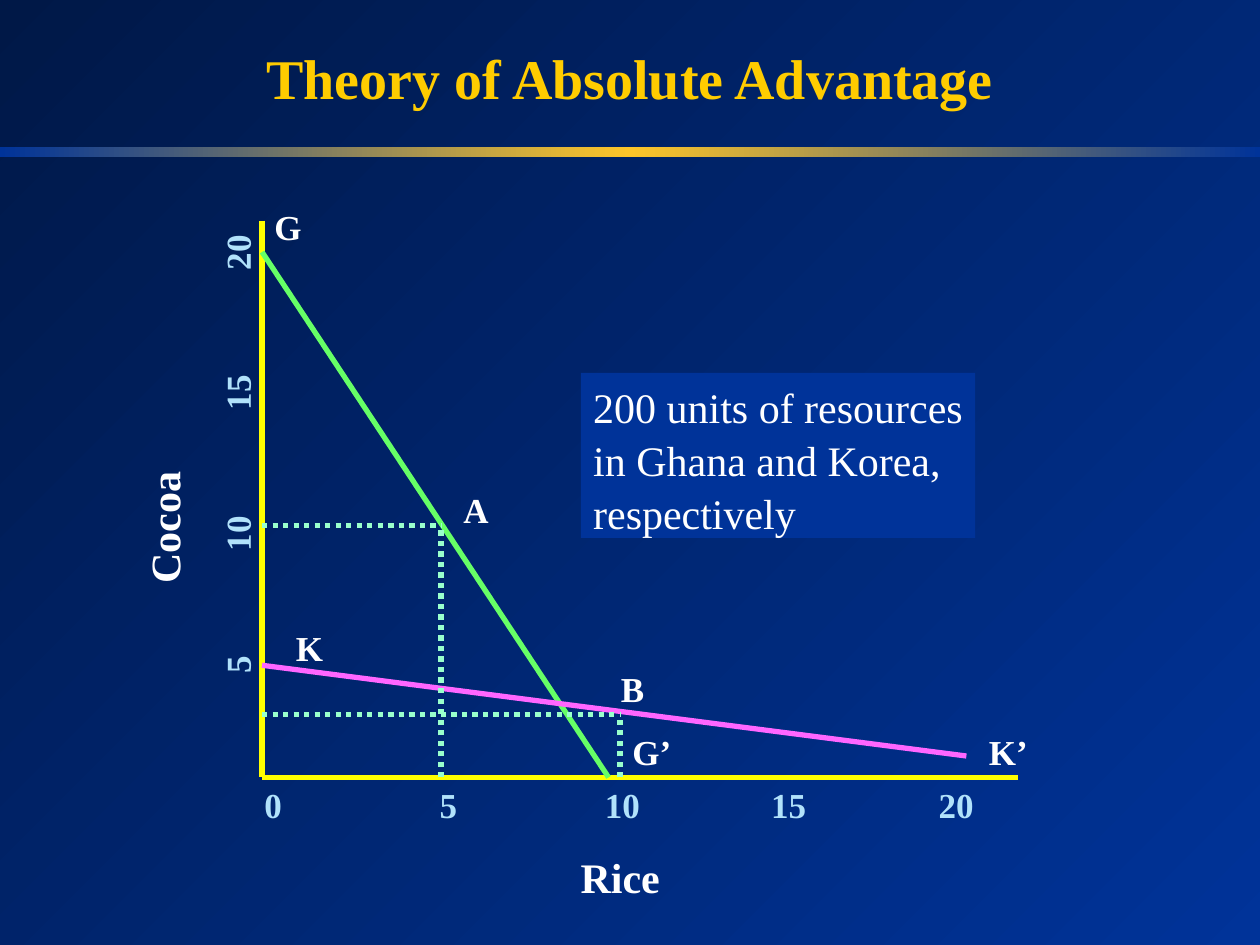
"""Build the Theory of Absolute Advantage slide."""
from copy import deepcopy

from lxml.etree import SubElement
from pptx import Presentation
from pptx.dml.color import RGBColor
from pptx.enum.dml import MSO_LINE_DASH_STYLE as Dash
from pptx.enum.shapes import MSO_CONNECTOR as Connector, MSO_SHAPE as Shape
from pptx.enum.text import MSO_ANCHOR as Anchor, PP_ALIGN as Align
from pptx.oxml.ns import qn
from pptx.util import Inches, Pt

NAVY, BLUE, GOLD, AMBER = "001847", "003399", "FFCC00", "FDC529"
WHITE, ICE, YELLOW = "FFFFFF", "B1E2FB", "FFFF00"
GREEN, PINK, MINT = "66FF66", "FF66FF", "99FFCC"


def color(code):
    return RGBColor.from_string(code)


class SlideBuilder:
    """Holds the style and the current slide."""

    font_name = "Times New Roman"

    def __init__(self, slide):
        self.slide = slide

    def gradient(self, fill, colors, angle):
        fill.gradient_angle = angle
        for index, (stop, code) in enumerate(zip(fill.gradient_stops, colors)):
            stop.position = index / (len(colors) - 1)
            stop.color.rgb = color(code)

    def background(self, colors, angle):
        fill = self.slide.background.fill
        fill.gradient()
        self.gradient(fill, colors, angle)

    def add_text(self, paragraph, text, size, code, bold=True):
        run = paragraph.add_run()
        run.text = text
        run.font.name = self.font_name
        run.font.size = Pt(size)
        run.font.bold = bold
        run.font.color.rgb = color(code)

    def title(self, text, box):
        heading = self.slide.shapes.title
        heading.left, heading.top, heading.width, heading.height = map(Inches, box)
        heading.text_frame.vertical_anchor = Anchor.MIDDLE
        paragraph = heading.text_frame.paragraphs[0]
        paragraph.alignment = Align.CENTER
        self.add_text(paragraph, text, 32, GOLD)

    def rectangle(self, box):
        panel = self.slide.shapes.add_shape(Shape.RECTANGLE, *map(Inches, box))
        panel.shadow.inherit = False
        panel.line.fill.background()
        return panel

    def divider(self, box, colors):
        band = self.rectangle(box)
        band.fill.gradient()
        stops = band._element.find(".//" + qn("a:gsLst"))
        stops.append(deepcopy(stops[0]))
        self.gradient(band.fill, colors, 0)

    def line(self, start, end, code, dash=None):
        stroke = self.slide.shapes.add_connector(
            Connector.STRAIGHT, *map(Inches, start + end))
        SubElement(stroke._element.spPr, qn("a:effectLst"))
        stroke.line.color.rgb = color(code)
        stroke.line.width = Pt(3)
        if dash:
            stroke.line.dash_style = dash

    def label(self, text, box, size=20, code=WHITE, rotation=0, tabs=()):
        caption = self.slide.shapes.add_textbox(*map(Inches, box))
        caption.rotation = rotation
        caption.text_frame.word_wrap = True
        paragraph = caption.text_frame.paragraphs[0]
        if tabs:
            tab_list = SubElement(paragraph._p.get_or_add_pPr(), qn("a:tabLst"))
            for position in tabs:
                SubElement(tab_list, qn("a:tab"), pos=str(Inches(position)), algn="ctr")
        self.add_text(paragraph, text, size, code)

    def note(self, text, box):
        panel = self.rectangle(box)
        panel.fill.solid()
        panel.fill.fore_color.rgb = color(BLUE)
        frame = panel.text_frame
        frame.word_wrap = True
        frame.vertical_anchor = Anchor.TOP
        frame.margin_right = Inches(0.05)
        paragraph = frame.paragraphs[0]
        paragraph.alignment = Align.LEFT
        paragraph.line_spacing = 1.05
        self.add_text(paragraph, text, 24, WHITE, bold=False)


def main():
    deck = Presentation()
    deck.slide_width, deck.slide_height = Inches(10), Inches(7.5)
    builder = SlideBuilder(deck.slides.add_slide(deck.slide_layouts[5]))
    builder.background((NAVY, BLUE), 315)
    builder.divider((0, 1.17, 10, 0.08), (BLUE, AMBER, BLUE))
    builder.title("Theory of Absolute Advantage", (0, 0.24, 10, 0.75))

    axis_x, axis_y = 2.08, 6.17
    origin = (axis_x, axis_y)
    builder.label("\t5\t10\t15\t20", (-0.63, 3.76, 5.03, 0.44), code=ICE,
                  rotation=270, tabs=(1.12, 2.16, 3.28, 4.39))
    builder.line((axis_x, 1.75), origin, YELLOW)
    builder.line(origin, (8.08, axis_y), YELLOW)
    builder.line((axis_x, 2), (4.83, axis_y), GREEN)
    builder.label("0\t5\t10\t15\t20", (2, 6.17, 6.25, 0.44), code=ICE,
                  tabs=(1.46, 2.84, 4.16, 5.49))
    builder.line((axis_x, 5.28), (7.67, 6), PINK)
    for rice, cocoa in ((3.5, 4.17), (4.92, 5.67)):
        builder.line((axis_x, cocoa), (rice, cocoa), MINT, Dash.ROUND_DOT)
        builder.line((rice, axis_y), (rice, cocoa), MINT, Dash.ROUND_DOT)

    points = (("A", 3.58, 3.83, 0.42), ("B", 4.83, 5.25, 0.42),
              ("K", 2.25, 4.92, 0.42), ("G", 2.08, 1.58, 0.42),
              ("K’", 7.75, 5.75, 0.58), ("G’", 4.92, 5.75, 0.58))
    for name, left, top, width in points:
        builder.label(name, (left, top, width, 0.43))
    builder.label("Rice", (4.51, 6.71, 1.83, 0.5), size=24)
    builder.label("Cocoa", (0.6, 3.78, 1.4, 0.5), size=24, rotation=270)
    builder.note("200 units of resources in Ghana and Korea, respectively",
                 (4.61, 2.96, 3.13, 1.31))
    deck.save("out.pptx")


if __name__ == "__main__":
    main()
